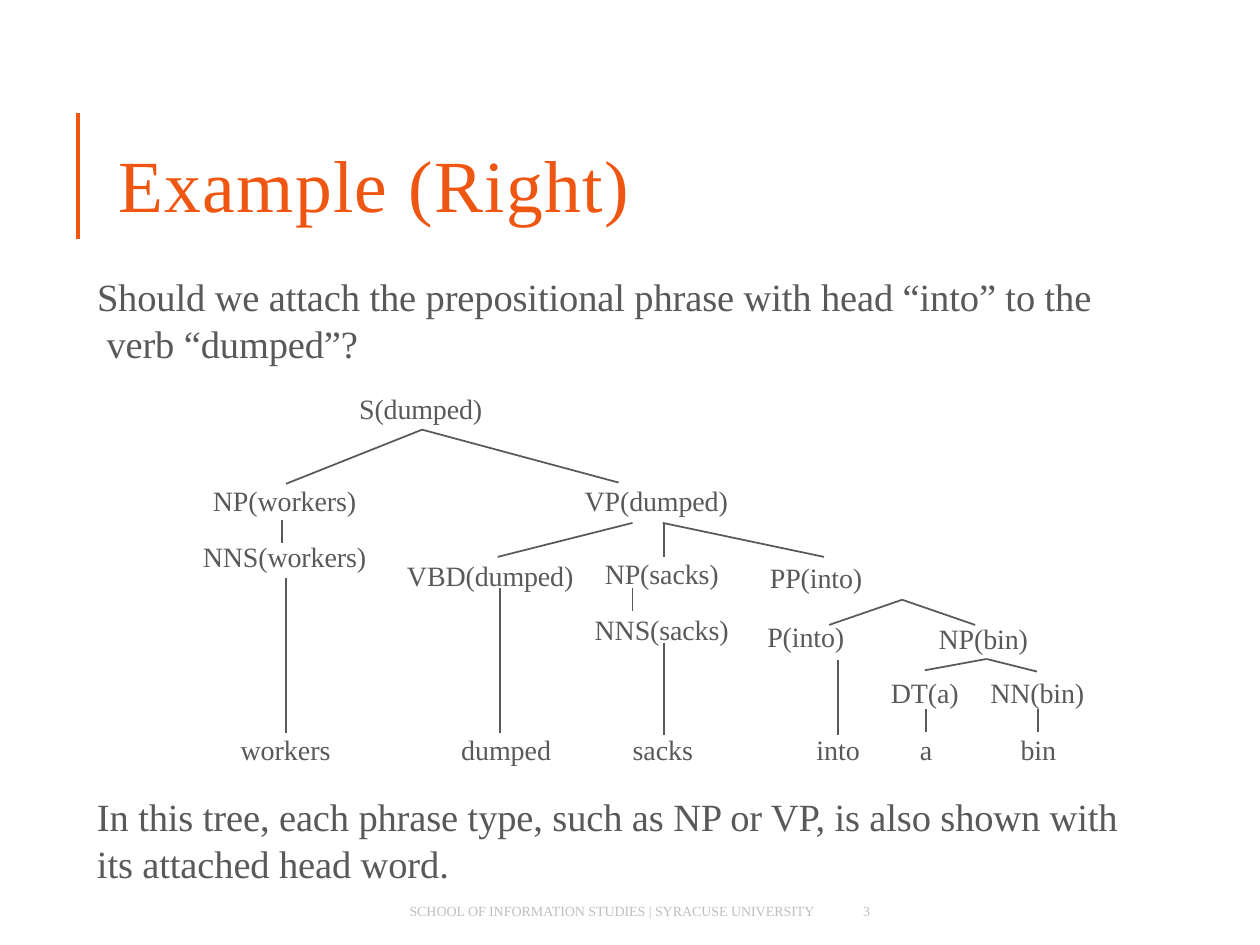
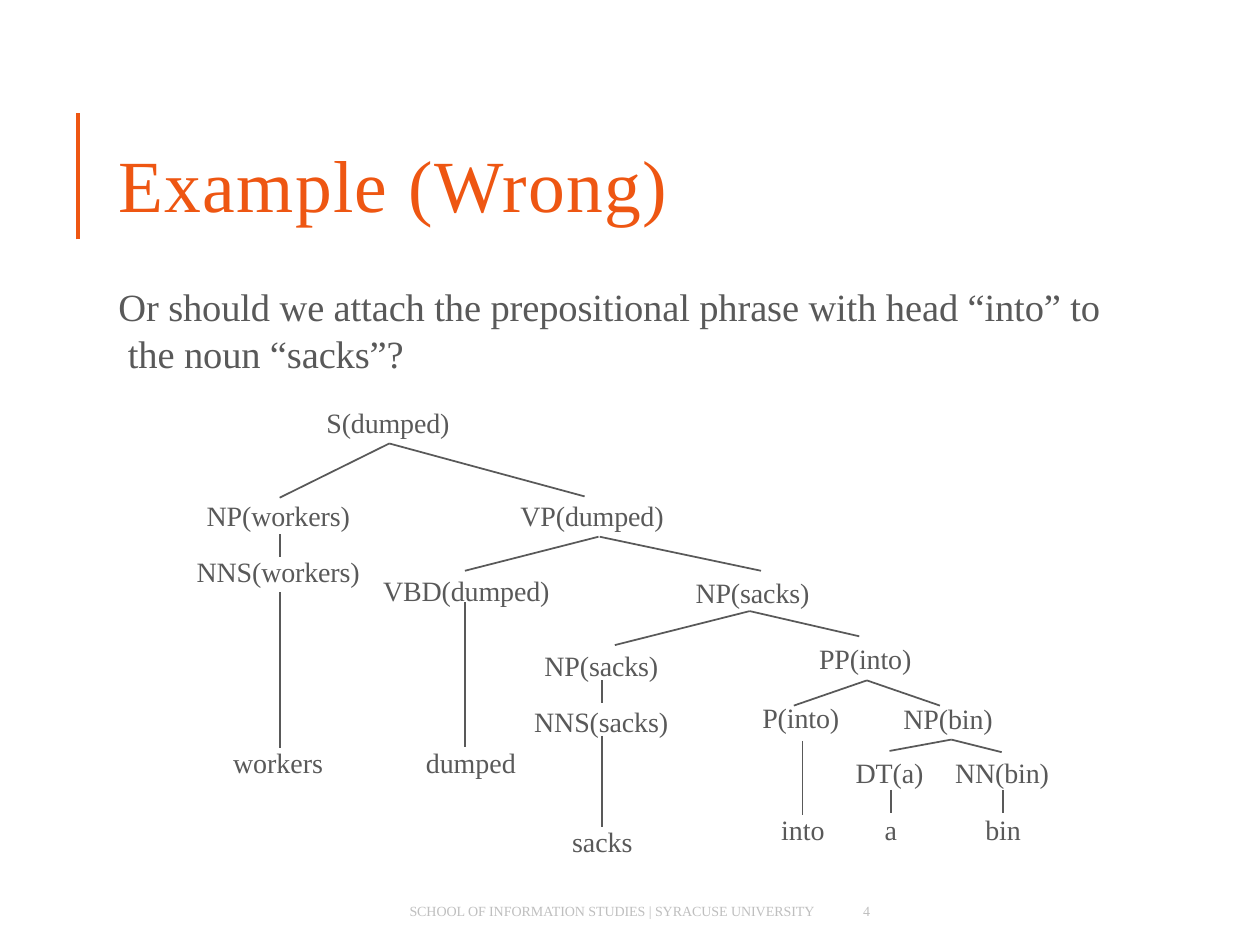
"""Builds two slides that compare parse trees for a prepositional phrase attachment."""
from lxml import etree
from pptx import Presentation
from pptx import util as u
from pptx.dml.color import RGBColor
from pptx.enum import shapes, text
from pptx.oxml.ns import qn

PX = 9144
COLORS = {"accent": "EE5612", "body": "595959", "footer": "BFBFBF"}
FONT = "Times New Roman"

PP_NODES = [
    ("NP(bin)", 745, 491), ("DT(a)", 707, 534), ("NN(bin)", 786, 534),
    ("into", 648, 579), ("a", 730, 579), ("bin", 810, 579),
]
PP_BRANCHES = [
    (716, 476, 658, 496), (716, 476, 774, 496), (665, 524, 665, 583),
    (783, 523, 734, 532), (783, 523, 823, 533),
    (735, 563, 735, 581), (824, 563, 824, 581),
]

RIGHT_NODES = [
    ("S(dumped)", 285, 309), ("NP(workers)", 169, 382), ("VP(dumped)", 464, 382),
    ("NNS(workers)", 161, 426), ("VBD(dumped)", 323, 441), ("NP(sacks)", 480, 440),
    ("NNS(sacks)", 472, 484), ("PP(into)", 611, 443), ("P(into)", 609, 490),
    ("workers", 191, 579), ("dumped", 366, 579), ("sacks", 502, 579),
]
RIGHT_BRANCHES = [
    (335, 341, 227, 384), (335, 341, 491, 383), (224, 413, 224, 431),
    (227, 459, 227, 582), (502, 415, 395, 442), (527, 415, 527, 442),
    (526, 415, 654, 442), (397, 467, 397, 582), (502, 467, 502, 485),
    (527, 510, 527, 583),
]

WRONG_NODES = [
    ("S(dumped)", 259, 320), ("NP(workers)", 164, 394), ("VP(dumped)", 413, 394),
    ("NNS(workers)", 156, 438), ("VBD(dumped)", 304, 453), ("NP(sacks)", 552, 455),
    ("NP(sacks)", 432, 513), ("NNS(sacks)", 424, 557), ("PP(into)", 650, 507),
    ("P(into)", 605, 554), ("workers", 185, 590), ("dumped", 338, 590),
    ("sacks", 454, 652),
]
WRONG_BRANCHES = [
    (309, 352, 222, 395), (309, 352, 464, 394), (222, 424, 222, 442),
    (222, 470, 222, 594), (475, 426, 369, 453), (476, 426, 604, 453),
    (369, 478, 369, 593), (595, 485, 488, 512), (595, 485, 682, 505),
    (478, 540, 478, 558), (478, 584, 478, 656),
]


class Deck:
    """Holds the shared style and the slide being drawn."""

    def __init__(self):
        self.prs = Presentation()
        self.prs.slide_width, self.prs.slide_height = 1000 * PX, 750 * PX
        self.slide = None

    def set_text(self, shape, wording, size, color, spacing=0, line_spacing=None):
        frame = shape.text_frame
        frame.text = wording
        frame.auto_size = text.MSO_AUTO_SIZE.NONE
        frame.vertical_anchor = text.MSO_ANCHOR.TOP
        frame.margin_left = frame.margin_right = frame.margin_bottom = 0
        frame.margin_top = 2 * PX if size > 8 else 0
        paragraph = frame.paragraphs[0]
        properties = paragraph._p.get_or_add_pPr()
        properties.set("marL", "0")
        properties.set("indent", "0")
        etree.SubElement(properties, qn("a:buNone"))
        paragraph.alignment = text.PP_ALIGN.LEFT
        paragraph.space_before = u.Pt(0)
        if line_spacing:
            paragraph.line_spacing = line_spacing
        paragraph.font.name = FONT
        paragraph.font.size = u.Pt(size)
        paragraph.font.color.rgb = RGBColor.from_string(COLORS[color])
        for run in paragraph.runs:
            run._r.get_or_add_rPr().set("spc", str(spacing))
        return frame

    def placeholder(self, index, box, *style):
        holder = self.slide.placeholders[index]
        holder.left, holder.top, holder.width, holder.height = (n * PX for n in box)
        self.set_text(holder, *style).word_wrap = True

    def label(self, box, *style, wrap=False):
        holder = self.slide.shapes.add_textbox(*(n * PX for n in box))
        self.set_text(holder, *style).word_wrap = wrap

    def line(self, x1, y1, x2, y2, color="body", weight=1):
        stroke = self.slide.shapes.add_connector(
            shapes.MSO_CONNECTOR.STRAIGHT, *(n * PX for n in (x1, y1, x2, y2)))
        stroke.line.color.rgb = RGBColor.from_string(COLORS[color])
        stroke.line.width = u.Pt(weight)
        etree.SubElement(stroke._element.spPr, qn("a:effectLst"))

    def page(self, title, question, left, top, number):
        self.slide = self.prs.slides.add_slide(self.prs.slide_layouts[1])
        self.line(62, 190, 62, 90, "accent", 2)
        self.placeholder(0, (94, 108, 700, 73), title, 42, "accent", 80)
        self.placeholder(1, (left, top, 830, 80), question, 22, "body", -5, 1.02)
        self.label((325, 716, 328, 15), "SCHOOL OF INFORMATION STUDIES | SYRACUSE UNIVERSITY",
                   8, "footer", -5)
        self.label((685, 716, 15, 15), str(number), 8, "footer")

    def tree(self, nodes, branches, dx=0, dy=0):
        for x1, y1, x2, y2 in branches:
            self.line(x1 + dx, y1 + dy, x2 + dx, y2 + dy)
        for wording, left, top in nodes:
            spacing = -5 if "(" in wording else 0
            self.label((left + dx, top + dy, 11 * len(wording), 29),
                       wording, 16, "body", spacing)


def main():
    deck = Deck()
    deck.page("Example (Right)",
              "Should we attach the prepositional phrase with head “into” to the\v verb “dumped”?",
              77, 214, 3)
    deck.tree(RIGHT_NODES, RIGHT_BRANCHES)
    deck.tree(PP_NODES, PP_BRANCHES)
    deck.label((77, 627, 820, 77),
               "In this tree, each phrase type, such as NP or VP, is also shown with "
               "its attached head word.", 22, "body", -5, 1.02, wrap=True)

    deck.page("Example (Wrong)",
              "Or should we attach the prepositional phrase with head “into” to\v the noun “sacks”?",
              94, 222, 4)
    deck.tree(WRONG_NODES, WRONG_BRANCHES)
    deck.tree(PP_NODES, PP_BRANCHES, -28, 64)
    deck.prs.save("out.pptx")


if __name__ == "__main__":
    main()
